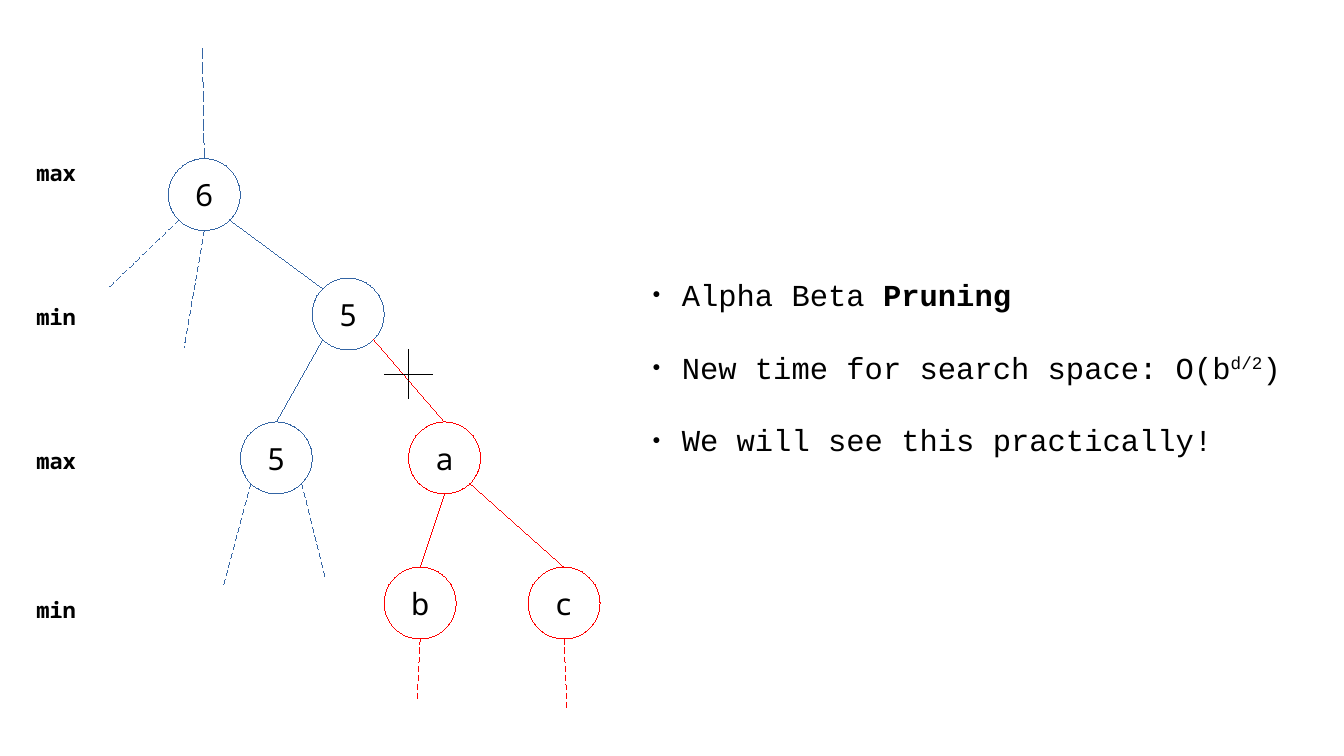
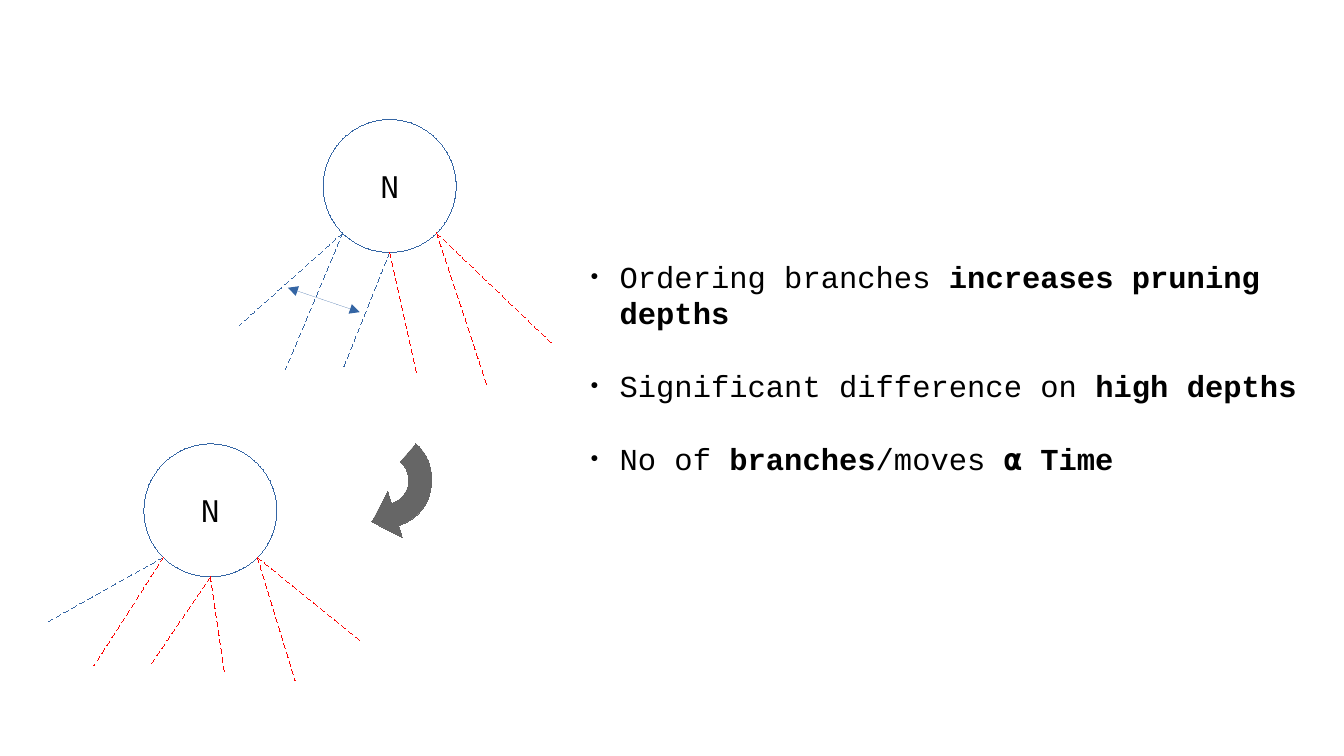
"""Builds two slides on alpha-beta pruning: a pruned game tree and branch ordering."""
from dataclasses import dataclass
from math import cos, pi, sin

from lxml.etree import SubElement
from pptx import Presentation
from pptx.dml.color import RGBColor
from pptx.enum.dml import MSO_LINE
from pptx.enum.shapes import MSO_CONNECTOR, MSO_SHAPE
from pptx.enum.text import MSO_ANCHOR, MSO_AUTO_SIZE, PP_ALIGN
from pptx.oxml.ns import qn
from pptx.util import Inches, Pt


@dataclass(frozen=True)
class Theme:
    """Colours, fonts and sizes shared by the slides."""
    ink: RGBColor = RGBColor(0, 0, 0)
    paper: RGBColor = RGBColor(255, 255, 255)
    kept: RGBColor = RGBColor(0x34, 0x65, 0xA4)
    pruned: RGBColor = RGBColor(255, 0, 0)
    arrow: RGBColor = RGBColor(0x66, 0x66, 0x66)
    body_font: str = "Courier New"
    node_font: str = "Noto Sans Mono"
    text_size: Pt = Pt(18)
    label_size: Pt = Pt(13)
    line_pitch: Pt = Pt(21.5)
    hairline: Pt = Pt(0.01)


T = Theme()
TOP, TOP_LEFT, LOWER_LEFT, BOTTOM, LOWER_RIGHT = 0, 1, 3, 4, 5
NODE, BIG_NODE = 0.59, 1.09


def style_run(r, font, size, bold=False):
    """Format one run."""
    r.font.name, r.font.size, r.font.bold = font, size, bold
    r.font.color.rgb = T.ink


def style_shape(sp, fill, line):
    """Give a shape a flat fill and a hairline outline."""
    sp.shadow.inherit = False
    sp.fill.solid()
    sp.fill.fore_color.rgb = fill
    sp.line.color.rgb, sp.line.width = line, T.hairline


def add_node(s, text, left, top, size, color=T.kept):
    """Add a circular tree node with centred text."""
    sp = s.shapes.add_shape(MSO_SHAPE.OVAL, Inches(left), Inches(top),
                            Inches(size), Inches(size))
    style_shape(sp, T.paper, color)
    p = sp.text_frame.paragraphs[0]
    p.text, p.alignment = text, PP_ALIGN.CENTER
    style_run(p.runs[0], T.node_font, T.text_size)
    return sp


def site_point(node, site):
    """Return the place of a connection site, counted anticlockwise from the top."""
    angle, radius = site * pi / 4, node.width / 2
    return (round(node.left + radius - radius * sin(angle)),
            round(node.top + radius - radius * cos(angle)))


def add_line(s, start, end, color, dash=None):
    """Draw a hairline between two points."""
    c = s.shapes.add_connector(MSO_CONNECTOR.STRAIGHT, *start, *end)
    c.line.color.rgb, c.line.width = color, T.hairline
    if dash:
        c.line.dash_style = dash
    SubElement(c._element.spPr, qn("a:effectLst"))
    return c


def glue(c, tag, node, site):
    """Attach one end of a connector to a node."""
    props = c._element.find(".//" + qn("p:cNvCxnSpPr"))
    SubElement(props, qn(tag), id=str(node.shape_id), idx=str(site))


def add_edge(s, parent, site, child, color, child_site=TOP):
    """Join two nodes."""
    c = add_line(s, site_point(parent, site), site_point(child, child_site), color)
    glue(c, "a:stCxn", parent, site)
    glue(c, "a:endCxn", child, child_site)


def add_stub(s, node, site, x, y, color, dash=MSO_LINE.DASH):
    """Draw a dashed branch from a node to a free point."""
    c = add_line(s, site_point(node, site), (Inches(x), Inches(y)), color, dash)
    glue(c, "a:stCxn", node, site)


def add_fan(s, left, top, branches):
    """Add a large node with its branches."""
    node = add_node(s, "N", left, top, BIG_NODE)
    for branch in branches:
        add_stub(s, node, *branch)


def add_label(s, text, top):
    """Add the name of a tree level."""
    tb = s.shapes.add_textbox(Inches(0.2), Inches(top), Inches(0.59), Inches(0.39))
    tf = tb.text_frame
    tf.word_wrap = True
    tf.text = text
    style_run(tf.paragraphs[0].runs[0], T.node_font, T.label_size, True)


def set_bullet(p):
    """Give a paragraph a small round bullet and a hanging indent."""
    props = p._p.get_or_add_pPr()
    props.set("marL", str(Inches(0.24)))
    props.set("indent", str(-Inches(0.24)))
    color = SubElement(props, qn("a:buClr"))
    SubElement(color, qn("a:srgbClr"), val=str(T.ink))
    SubElement(props, qn("a:buSzPct"), val="45000")
    SubElement(props, qn("a:buChar"), char="●")


def fill_body(s, left, width, items):
    """Fill the body placeholder; each run is its text and a style of b, sup or none."""
    body = s.placeholders[1]
    body.left, body.top = Inches(left), Inches(1.21)
    body.width, body.height = Inches(width), Inches(3.6)
    tf = body.text_frame
    tf.auto_size, tf.vertical_anchor = MSO_AUTO_SIZE.NONE, MSO_ANCHOR.MIDDLE
    tf.margin_left = tf.margin_right = tf.margin_top = tf.margin_bottom = 0
    for i, runs in enumerate(items):
        p = tf.add_paragraph() if i else tf.paragraphs[0]
        p.line_spacing = T.line_pitch
        p.space_before = T.line_pitch if i else Pt(0)
        set_bullet(p)
        for text, style in runs:
            r = p.add_run()
            r.text = text
            style_run(r, T.body_font, T.text_size, style == "b")
            if style == "sup":
                r.font._element.set("baseline", "33000")


def add_slide(prs):
    """Add a slide that has only a body placeholder."""
    s = prs.slides.add_slide(prs.slide_layouts[1])
    title = s.shapes.title._element
    title.getparent().remove(title)
    return s


def curve(a, b, c, d, steps=12):
    """Return points along a cubic curve, without its start."""
    ts = [i / steps for i in range(1, steps + 1)]
    return [tuple((1 - t) ** 3 * m + 3 * t * (1 - t) ** 2 * n
                  + 3 * t * t * (1 - t) * o + t ** 3 * q
                  for m, n, o, q in zip(a, b, c, d)) for t in ts]


def add_turn_arrow(s):
    """Draw the curved block arrow between the two fans."""
    outline = [(3.21, 4.13),
               *curve((3.21, 4.13), (3.28, 4.11), (3.33, 4.05), (3.35, 3.98)),
               *curve((3.35, 3.98), (3.36, 3.91), (3.34, 3.83), (3.28, 3.79)),
               (3.41, 3.64),
               *curve((3.41, 3.64), (3.52, 3.73), (3.56, 3.88), (3.53, 4.02)),
               *curve((3.53, 4.02), (3.51, 4.16), (3.4, 4.27), (3.27, 4.31)),
               (3.3, 4.41), (3.05, 4.28), (3.18, 4.03)]
    points = [(Inches(x), Inches(y)) for x, y in outline]
    fb = s.shapes.build_freeform(*points[0])
    fb.add_line_segments(points[1:], close=True)
    style_shape(fb.convert_to_shape(), T.arrow, T.arrow)


def build_tree(prs):
    """Build the pruned game tree."""
    s = add_slide(prs)
    root = add_node(s, "6", 1.38, 1.3, NODE)
    low = add_node(s, "5", 2.56, 2.28, NODE)
    leaf = add_node(s, "5", 1.97, 3.46, NODE)
    a = add_node(s, "a", 3.35, 3.46, NODE, T.pruned)
    b = add_node(s, "b", 3.15, 4.65, NODE, T.pruned)
    c = add_node(s, "c", 4.33, 4.65, NODE, T.pruned)
    add_edge(s, root, LOWER_RIGHT, low, T.kept, TOP_LEFT)
    add_edge(s, low, LOWER_LEFT, leaf, T.kept)
    add_edge(s, low, LOWER_RIGHT, a, T.pruned)
    add_edge(s, a, BOTTOM, b, T.pruned)
    add_edge(s, a, LOWER_RIGHT, c, T.pruned)
    add_stub(s, root, TOP, 1.66, 0.39, T.kept, MSO_LINE.LONG_DASH)
    for stub in [(root, LOWER_LEFT, 0.89, 2.36, T.kept),
                 (root, BOTTOM, 1.51, 2.85, T.kept),
                 (leaf, LOWER_RIGHT, 2.67, 4.75, T.kept),
                 (leaf, LOWER_LEFT, 1.83, 4.81, T.kept),
                 (b, BOTTOM, 3.42, 5.75, T.pruned),
                 (c, BOTTOM, 4.65, 5.83, T.pruned)]:
        add_stub(s, *stub)
    x, y, arm = Inches(3.35), Inches(3.07), Inches(0.2)
    add_line(s, (x, y - arm), (x, y + arm), T.ink)
    add_line(s, (x - arm, y), (x + arm, y), T.ink)
    for text, top in [("max", 1.26), ("min", 2.44), ("max", 3.62), ("min", 4.84)]:
        add_label(s, text, top)
    fill_body(s, 5.35, 5.28, [
        [("Alpha Beta ", ""), ("Pruning", "b")],
        [("New time for search space: O(b", ""), ("d/2", "sup"), (")", "")],
        [("We will see this practically!", "")]])


def build_ordering(prs):
    """Build the comparison of branch orders."""
    s = add_slide(prs)
    fill_body(s, 4.84, 5.91, [
        [("Ordering branches ", ""), ("increases pruning depths", "b")],
        [("Significant difference on ", ""), ("high depths", "b")],
        [("No of ", ""), ("branches", "b"), ("/moves ", ""), ("⍺ Time", "b")]])
    add_fan(s, 2.65, 0.98, [(LOWER_LEFT, 1.96, 2.67, T.kept),
                            (LOWER_LEFT, 2.34, 3.03, T.kept),
                            (BOTTOM, 2.81, 3.03, T.kept),
                            (BOTTOM, 3.42, 3.08, T.pruned),
                            (LOWER_RIGHT, 3.99, 3.15, T.pruned),
                            (LOWER_RIGHT, 4.53, 2.82, T.pruned)])
    add_fan(s, 1.18, 3.64, [(LOWER_LEFT, 0.39, 5.1, T.kept),
                            (LOWER_LEFT, 0.77, 5.46, T.pruned),
                            (BOTTOM, 1.23, 5.46, T.pruned),
                            (BOTTOM, 1.84, 5.51, T.pruned),
                            (LOWER_RIGHT, 2.42, 5.58, T.pruned),
                            (LOWER_RIGHT, 2.95, 5.25, T.pruned)])
    swap = add_line(s, (Inches(2.36), Inches(2.36)), (Inches(2.95), Inches(2.56)), T.kept)
    for end in ("a:headEnd", "a:tailEnd"):
        SubElement(swap.line._get_or_add_ln(), qn(end), type="triangle")
    add_turn_arrow(s)


def main():
    """Build and save the presentation."""
    prs = Presentation()
    prs.slide_width, prs.slide_height = Inches(11.02), Inches(6.2)
    build_tree(prs)
    build_ordering(prs)
    prs.save("out.pptx")


if __name__ == "__main__":
    main()
